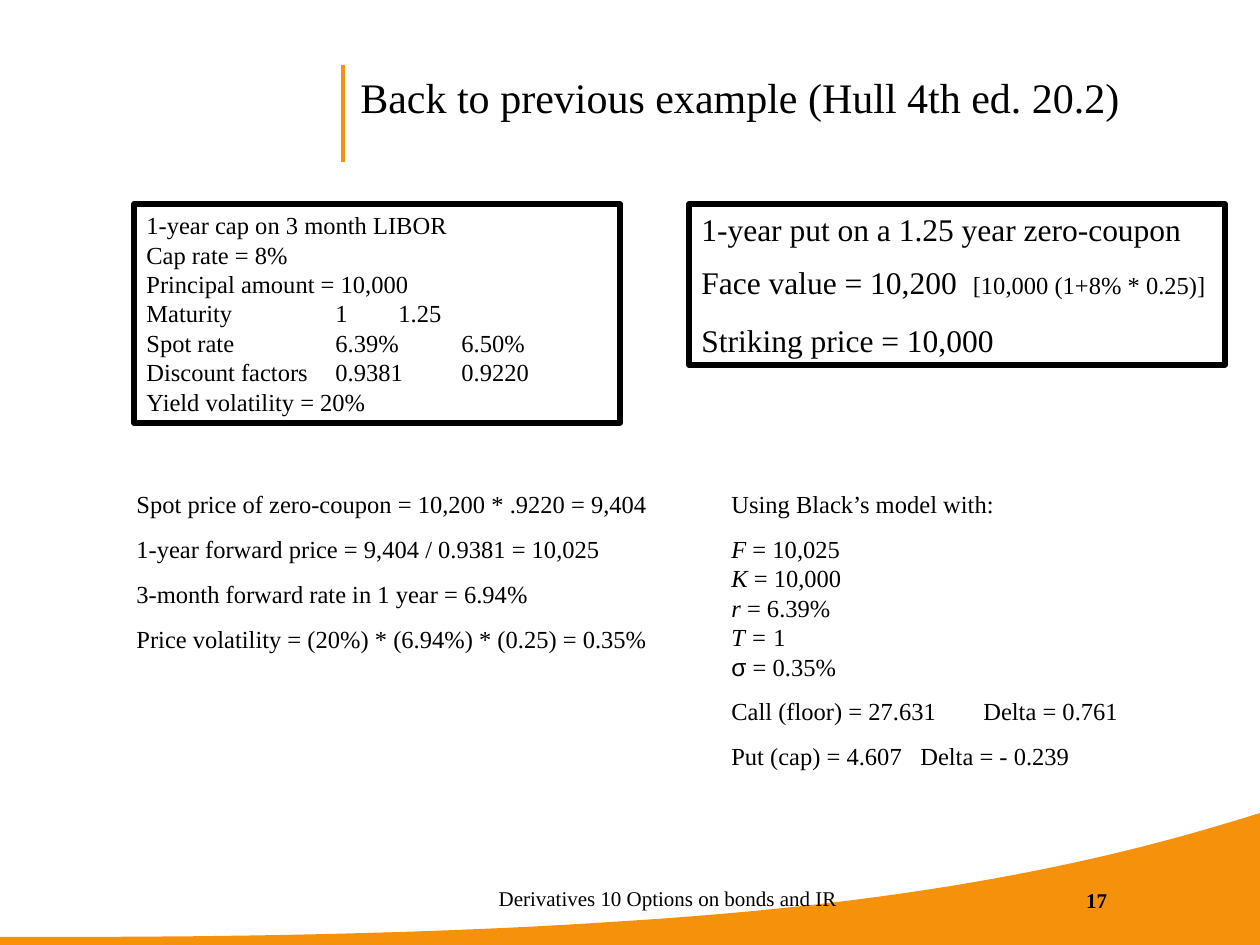
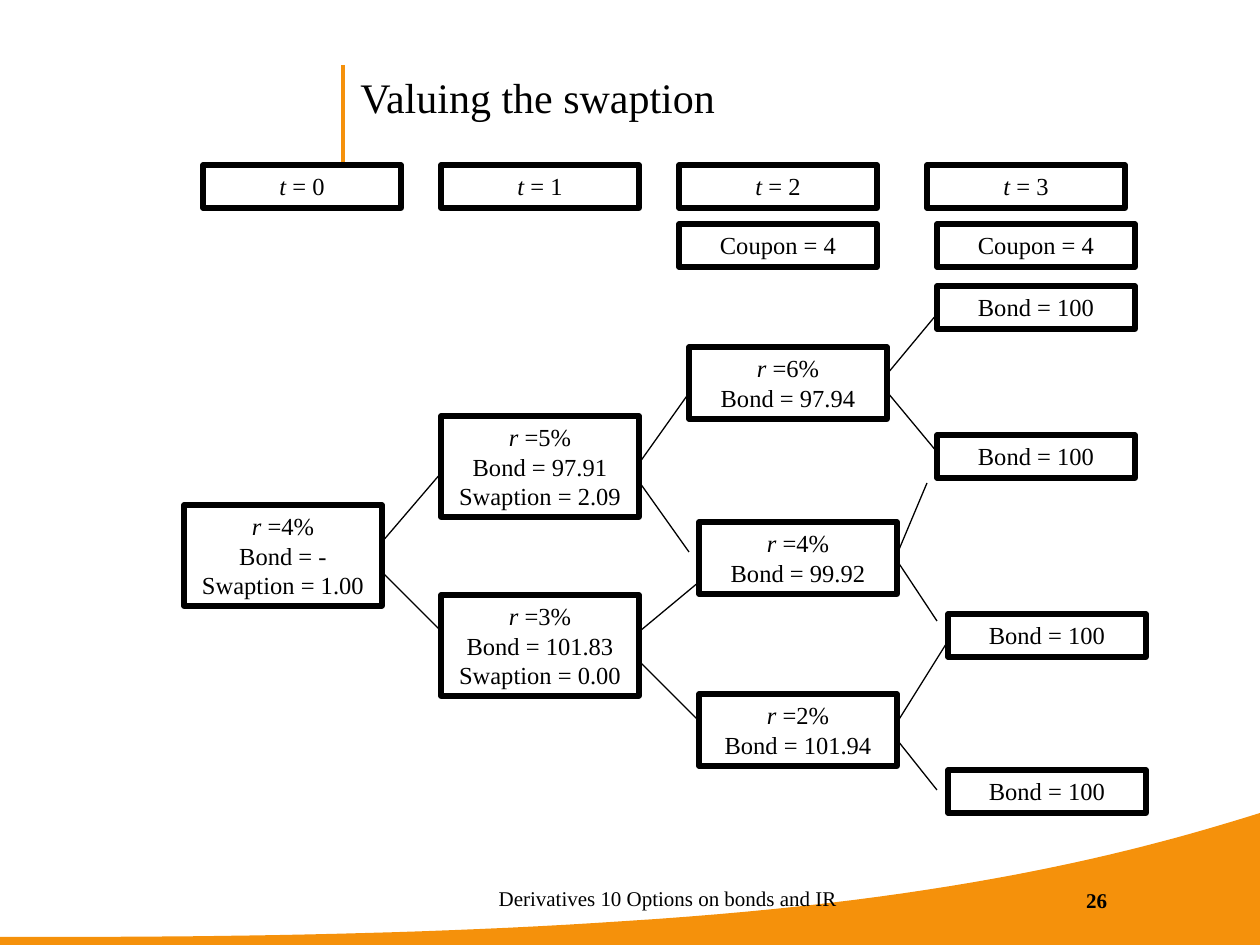
import dataclasses

import lxml.etree
import pptx
import pptx.dml.color
import pptx.enum.shapes
import pptx.enum.text
import pptx.oxml.ns
import pptx.util

PX = 914400 / 126
ALIGN = pptx.enum.text.PP_ALIGN
ANCHOR = pptx.enum.text.MSO_ANCHOR


@dataclasses.dataclass(frozen=True)
class Theme:
    ink: str = "000000"
    accent: str = "F5910B"
    font: str = "Times New Roman"
    symbol_font: str = "Arial"
    title: int = 24
    lead: int = 18
    body: int = 14
    footer: int = 12
    frame: float = 3
    rule: float = 2.25
    branch: float = 0.75
    gap: float = 8.8
    lead_gap: float = 11.2


@dataclasses.dataclass(frozen=True)
class Styled:
    """A stretch of text that departs from its paragraph's font."""
    text: str
    italic: bool = None
    size: int = None
    font: str = None


THEME = Theme()


def emu(px):
    return pptx.util.Emu(round(px * PX))


def rgb(value):
    return pptx.dml.color.RGBColor.from_string(value)


def var(name):
    return Styled(name, italic=True)


def add_run(paragraph, part):
    if isinstance(part, str):
        part = Styled(part)
    for number, line in enumerate(part.text.split("\n")):
        if number:
            paragraph.add_line_break()
        if not line:
            continue
        run = paragraph.add_run()
        run.text = line
        if part.italic:
            run.font.italic = True
        if part.size:
            run.font.size = pptx.util.Pt(part.size)
        if part.font:
            run.font.name = part.font


def fill_text(shape, paragraphs, size=THEME.body, align=ALIGN.LEFT, gaps=(),
              bold=False, anchor=ANCHOR.TOP, inset=True):
    """Write paragraphs, each a string or a list of parts; gaps go before them."""
    frame = shape.text_frame
    frame.word_wrap = True
    frame.vertical_anchor = anchor
    if not inset:
        frame.margin_left = frame.margin_right = 0
        frame.margin_top = frame.margin_bottom = 0
    for index, parts in enumerate(paragraphs):
        paragraph = frame.add_paragraph() if index else frame.paragraphs[0]
        paragraph.alignment = align
        if gaps:
            paragraph.space_before = pptx.util.Pt(gaps[index])
        paragraph.font.name = THEME.font
        paragraph.font.size = pptx.util.Pt(size)
        paragraph.font.bold = bold
        paragraph.font.color.rgb = rgb(THEME.ink)
        for part in [parts] if isinstance(parts, str) else parts:
            add_run(paragraph, part)


def add_text(slide, area, paragraphs, **style):
    fill_text(slide.shapes.add_textbox(*map(emu, area)), paragraphs, **style)


def add_framed(slide, area, paragraphs, **style):
    rectangle = pptx.enum.shapes.MSO_SHAPE.RECTANGLE
    box = slide.shapes.add_shape(rectangle, *map(emu, area))
    box.shadow.inherit = False
    box.fill.background()
    box.line.color.rgb = rgb(THEME.ink)
    box.line.width = pptx.util.Pt(THEME.frame)
    fill_text(box, paragraphs, **style)


def add_line(slide, start, end, color, width):
    straight = pptx.enum.shapes.MSO_CONNECTOR.STRAIGHT
    line = slide.shapes.add_connector(straight, *map(emu, (*start, *end)))
    line.line.color.rgb = rgb(color)
    line.line.width = pptx.util.Pt(width)
    lxml.etree.SubElement(line._element.spPr, pptx.oxml.ns.qn("a:effectLst"))


def bezier(a, b, c, d, steps=30):
    for step in range(1, steps + 1):
        t = step / steps
        u = 1 - t
        yield tuple(u**3 * p + 3 * u * u * t * q + 3 * u * t * t * r + t**3 * s
                    for p, q, r, s in zip(a, b, c, d))


def add_swoosh(slide):
    left, middle, right = (0, 937), (626, 921), (1260, 813)
    outline = [(-1, 945), left,
               *bezier(left, (3, 936), (336, 941), middle),
               *bezier(middle, (946, 901), (1130, 854), right)]
    builder = slide.shapes.build_freeform(emu(1260), emu(945))
    builder.add_line_segments([(emu(x), emu(y)) for x, y in outline], close=True)
    swoosh = builder.convert_to_shape()
    swoosh.shadow.inherit = False
    swoosh.fill.solid()
    swoosh.fill.fore_color.rgb = rgb(THEME.accent)
    swoosh.line.fill.background()


def start_slide(deck, title, number):
    """Add a slide with the shared band, title and footer."""
    slide = deck.slides.add_slide(deck.slide_layouts[6])
    add_swoosh(slide)
    add_line(slide, (343, 65), (343, 162), THEME.accent, THEME.rule)
    add_text(slide, (348, 65, 852, 102), [title], size=THEME.title)
    footer = dict(size=THEME.footer, align=ALIGN.RIGHT, anchor=ANCHOR.BOTTOM,
                  inset=False)
    add_text(slide, (438, 868, 399, 43),
             ["Derivatives 10 Options on bonds and IR"], **footer)
    add_text(slide, (961, 870, 146, 43), [str(number)], bold=True, **footer)
    return slide


def build_example(deck):
    slide = start_slide(deck, "Back to previous example (Hull 4th ed. 20.2)", 17)
    add_framed(slide, (134, 204, 486, 219), [
        "1-year cap on 3 month LIBOR",
        "Cap rate = 8%",
        "Principal amount = 10,000",
        "Maturity\t\t1\t1.25",
        "Spot rate\t\t6.39%\t6.50%",
        "Discount factors\t0.9381\t0.9220",
        "Yield volatility = 20%",
    ])
    add_framed(slide, (689, 204, 536, 161), [
        "1-year put on a 1.25 year zero-coupon",
        ["Face value = 10,200  ",
         Styled("[10,000 (1+8% * 0.25)]", size=THEME.body)],
        "Striking price = 10,000",
    ], size=THEME.lead, gaps=(THEME.lead_gap, THEME.gap, THEME.lead_gap))
    add_text(slide, (124, 483, 546, 176), [
        "Spot price of zero-coupon = 10,200 * .9220 = 9,404",
        "1-year forward price = 9,404 / 0.9381 = 10,025",
        "3-month forward rate in 1 year = 6.94%",
        "Price volatility = (20%) * (6.94%) * (0.25) = 0.35%",
    ], gaps=[THEME.gap] * 4)
    add_text(slide, (719, 483, 476, 295), [
        "Using Black’s model with:",
        [var("F"), " = 10,025\n", var("K"), " = 10,000\n",
         var("r"), " = 6.39%\n", var("T = "), "1\n",
         Styled("σ", font=THEME.symbol_font), " = 0.35%"],
        "Call (floor) = 27.631\tDelta = 0.761",
        "Put (cap) = 4.607\tDelta = - 0.239",
    ], gaps=[THEME.gap] * 4)


def add_node(slide, x, y, *parts):
    """Add a tree box whose height follows its number of lines."""
    breaks = sum(part.count("\n") for part in parts if isinstance(part, str))
    add_framed(slide, (x, y, 198, 43 + 29 * breaks), [parts],
               align=ALIGN.CENTER, gaps=[THEME.gap])


def build_swaption(deck):
    slide = start_slide(deck, "Valuing the swaption", 26)
    for period, x in enumerate((203, 441, 679, 927)):
        add_node(slide, x, 165, var("t"), f" = {period}")
    for x in (679, 937):
        add_node(slide, x, 224, "Coupon = 4")

    rate_nodes = [
        (184, 505, "4%\nBond = -\nSwaption = 1.00"),
        (441, 416, "5%\nBond = 97.91\nSwaption = 2.09"),
        (441, 595, "3%\nBond = 101.83\nSwaption = 0.00"),
        (689, 347, "6%\nBond = 97.94"),
        (699, 522, "4%\nBond = 99.92"),
        (699, 694, "2%\nBond = 101.94"),
    ]
    for x, y, values in rate_nodes:
        add_node(slide, x, y, var("r"), f" ={values}")
    for x, y in ((937, 286), (937, 435), (948, 614), (948, 770)):
        add_node(slide, x, y, "Bond = 100")

    # Each fork: x of its root, then (start y, end point) for up and down moves.
    forks = [
        (382, (542, (441, 473)), (572, (441, 631))),
        (640, (462, (689, 393)), (483, (689, 552))),
        (640, (631, (699, 582)), (662, (699, 721))),
        (888, (373, (937, 314)), (393, (937, 452))),
        (898, (552, (927, 483)), (562, (937, 621))),
        (898, (721, (948, 641)), (741, (937, 790))),
    ]
    for root_x, *moves in forks:
        for start_y, end in moves:
            add_line(slide, (root_x, start_y), end, THEME.ink, THEME.branch)


def main():
    deck = pptx.Presentation()
    deck.slide_width, deck.slide_height = emu(1260), emu(945)
    build_example(deck)
    build_swaption(deck)
    deck.save("out.pptx")


if __name__ == "__main__":
    main()
